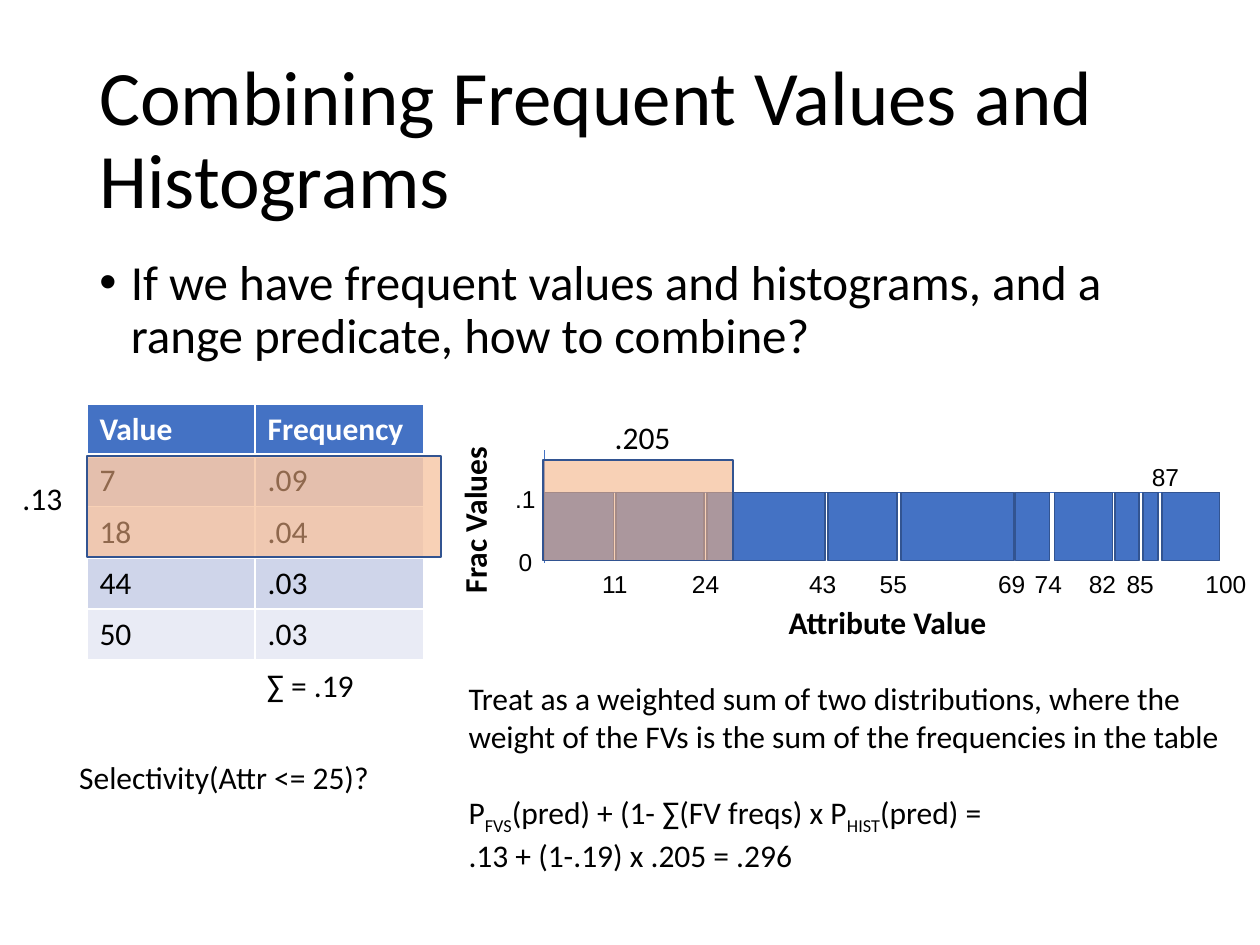
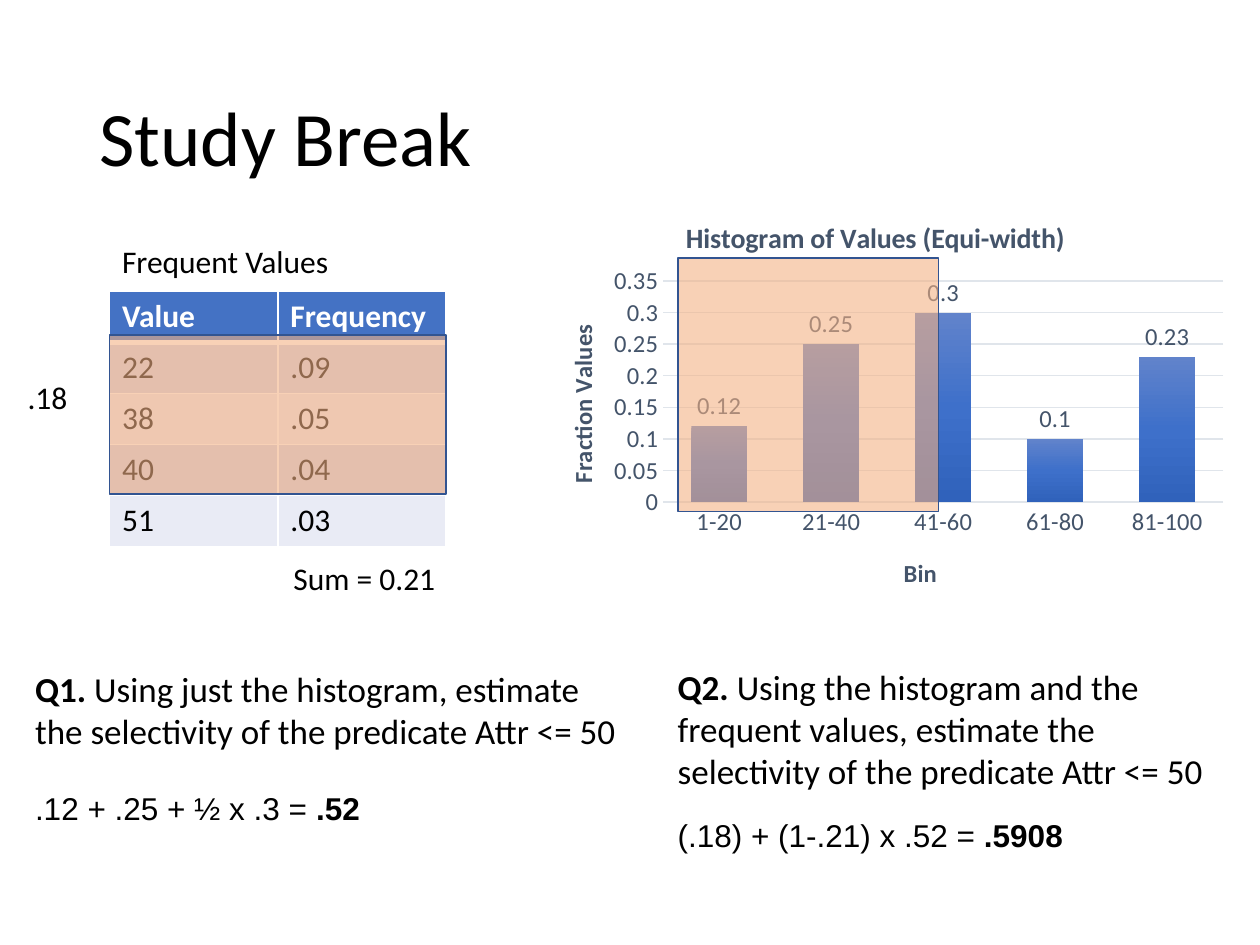
from copy import deepcopy

from lxml import etree
from pptx import Presentation
from pptx import util as u
from pptx.chart import data as chart_data
from pptx.dml.color import RGBColor
from pptx.enum import chart as ch
from pptx.enum import shapes, text
from pptx.oxml.ns import qn

BLACK = RGBColor(0, 0, 0)
WHITE = RGBColor(255, 255, 255)
BLUE = RGBColor(0x44, 0x72, 0xC4)
DARK_BLUE = RGBColor(0x32, 0x54, 0x91)
ORANGE = RGBColor(0xF4, 0xB1, 0x83)
SLATE = RGBColor(0x44, 0x54, 0x6A)
GRID_GREY = RGBColor(0xE0, 0xE5, 0xEB)
BANDS = RGBColor(0xCF, 0xD5, 0xEA), RGBColor(0xE9, 0xEB, 0xF5)
COLUMN_GRADIENT = [(0, RGBColor(0x61, 0x83, 0xCB)), (0.5, RGBColor(0x3E, 0x70, 0xCA)),
                   (1, RGBColor(0x30, 0x62, 0xBB))]
CALIBRI, ARIAL = "Calibri", "Arial"
BODY_SIZE, TICK_SIZE, QUESTION_SIZE = 18, 14, 20
BLANK_LINE = 22  # points

# Content. A paragraph is a string or a list of (words, style) runs.
HEADER = ("Value", "Frequency")
COMBINING = {
    "title": "Combining Frequent Values and Histograms",
    "bullet": "If we have frequent values and histograms, and a range predicate, how to combine?",
    "frequent": [("7", ".09"), ("18", ".04"), ("44", ".03"), ("50", ".03")],
    # upper bound, bar left, bar width, centre of the label
    "buckets": [("11", 4.32, 0.55, 4.88), ("24", 4.89, 0.70, 5.60), ("43", 5.61, 0.94, 6.53),
                ("55", 6.57, 0.55, 7.09), ("69", 7.15, 0.90, 8.03), ("74", 8.06, 0.27, 8.32),
                ("82", 8.37, 0.46, 8.75), ("85", 8.85, 0.19, 9.05), ("87", 9.07, 0.12, 9.25),
                ("100", 9.22, 0.46, 9.73)],
    "raised": "87",
    "formula": [
        "Treat as a weighted sum of two distributions, where the weight of the FVs "
        "is the sum of the frequencies in the table",
        [("P", ""), ("FVS", "sub"), ("(pred) + (1- ∑(FV freqs) x P", ""),
         ("HIST", "sub"), ("(pred) =", "")],
        ".13 + (1-.19) x .205 = .296"],
    # words, box
    "notes": [("∑ = .19", (2.02, 5.24, 1.51, 0.4)),
              ("Selectivity(Attr <= 25)?", (0.53, 5.97, 3.88, 0.4))],
    "shares": [(".13", (0.08, 3.75, 0.61, 0.4), (0.69, 3.62, 2.81, 0.8)),
               (".205", (4.78, 3.27, 1.05, 0.4), (4.31, 3.65, 1.51, 0.8))],
}
STUDY = {
    "title": "Study Break",
    "frequent": [("22", ".09"), ("38", ".05"), ("40", ".04"), ("51", ".03")],
    "histogram": {"1-20": 0.12, "21-40": 0.25, "41-60": 0.3, "61-80": 0.1, "81-100": 0.23},
    "notes": [("Frequent Values", (0.87, 1.87, 2.85, 0.4)),
              ("Sum = 0.21", (2.23, 4.39, 1.49, 0.4)),
              (".18", (0.12, 2.95, 1.49, 0.4))],
    "highlights": [(5.38, 2.05, 2.07, 2.01), (0.87, 2.66, 2.67, 1.26)],
    "questions": [
        ([("Q1. ", "bold"), ("Using just the histogram, estimate the selectivity of the "
                             "predicate Attr <= 50", "")], (0.18, 5.25, 4.85, 0.77)),
        ([("Q2. ", "bold"), ("Using the histogram and the frequent values, estimate the "
                             "selectivity of the predicate Attr <= 50", "")],
         (5.28, 5.23, 4.53, 1.11))],
    "answers": [([(".12 + .25 + ½ x .3 = ", ""), (".52", "bold")], (0.18, 6.21, 4.4, 0.4)),
                ([("(.18) + (1-.21) x .52 = ", ""), (".5908", "bold")], (5.28, 6.43, 4.4, 0.4))],
}


def inches(lengths):
    return [u.Inches(length) for length in lengths]


def style_font(font, size, color=BLACK, name=CALIBRI, bold=False):
    font.size, font.name, font.bold = u.Pt(size), name, bold
    font.color.rgb = color


def add_text(slide, box, paragraphs, size=BODY_SIZE, name=CALIBRI, bold=False, align=None):
    frame = slide.shapes.add_textbox(*inches(box)).text_frame
    frame.word_wrap = True
    for index, content in enumerate(paragraphs):
        paragraph = frame.add_paragraph() if index else frame.paragraphs[0]
        paragraph.alignment = align
        for words, style in [(content, "")] if isinstance(content, str) else content:
            run = paragraph.add_run()
            run.text = words
            style_font(run.font, size, name=name, bold=bold or style == "bold")
            if style == "sub":
                run.font._element.set("baseline", "-25000")
    return frame


def add_label(slide, center, top, words):
    width = 0.54
    frame = add_text(slide, (center - width / 2, top, width, 0.34), [words],
                     TICK_SIZE, ARIAL, align=text.PP_ALIGN.CENTER)
    frame.word_wrap = False


def add_title(slide, words):
    frame = add_text(slide, (0.69, 0.4, 8.62, 1.45), [words], 44)
    frame.vertical_anchor = text.MSO_ANCHOR.MIDDLE
    frame.paragraphs[0].line_spacing = 0.9


def add_bullet(slide, words):
    paragraph = add_text(slide, (0.69, 2, 8.62, 1.1), [words], 28).paragraphs[0]
    paragraph.line_spacing = 0.9
    properties = paragraph._p.get_or_add_pPr()
    properties.set("marL", str(u.Inches(0.25)))
    properties.set("indent", str(u.Inches(-0.25)))
    etree.SubElement(properties, qn("a:buFont")).set("typeface", ARIAL)
    etree.SubElement(properties, qn("a:buChar")).set("char", "•")


def add_rect(slide, box, color, alpha=None):
    rect = slide.shapes.add_shape(shapes.MSO_SHAPE.RECTANGLE, *inches(box))
    rect.shadow.inherit = False
    rect.fill.solid()
    rect.fill.fore_color.rgb = color
    rect.line.color.rgb = DARK_BLUE
    rect.line.width = u.Pt(1)
    if alpha:
        tint = rect._element.spPr.find(qn("a:solidFill"))[0]
        etree.SubElement(tint, qn("a:alpha")).set("val", str(alpha * 1000))


def add_highlight(slide, box):
    add_rect(slide, box, ORANGE, alpha=59)


def add_axis_line(slide, start, end):
    line = slide.shapes.add_connector(shapes.MSO_CONNECTOR.STRAIGHT, *inches(start + end))
    line.line.color.rgb = BLUE
    line.line.width = u.Pt(0.5)
    etree.SubElement(line._element.spPr, qn("a:effectLst"))


def add_cell_borders(cell, bottom):
    properties = cell._tc.get_or_add_tcPr()
    for index, (side, width) in enumerate([("L", 1), ("R", 1), ("T", 1), ("B", bottom)]):
        border = etree.Element(qn("a:ln" + side), w=str(u.Pt(width)))
        fill = etree.SubElement(border, qn("a:solidFill"))
        etree.SubElement(fill, qn("a:srgbClr")).set("val", str(WHITE))
        properties.insert(index, border)


def add_frequencies(slide, left, top, frequent):
    rows = [HEADER] + frequent
    table = slide.shapes.add_table(len(rows), len(HEADER),
                                   *inches((left, top, 2.67, 0.406 * len(rows)))).table
    for r, row in enumerate(rows):
        for c, words in enumerate(row):
            cell = table.cell(r, c)
            cell.text = words
            cell.fill.solid()
            cell.fill.fore_color.rgb = BANDS[(r - 1) % 2] if r else BLUE
            style_font(cell.text_frame.paragraphs[0].runs[0].font, BODY_SIZE,
                       BLACK if r else WHITE, bold=not r)
            add_cell_borders(cell, bottom=1 if r else 3)


def add_layout(parent, position, **values):
    """Fix a chart part at shares of the chart's size."""
    for old in parent.findall(qn("c:layout")):
        parent.remove(old)
    layout = etree.Element(qn("c:layout"))
    manual = etree.SubElement(layout, qn("c:manualLayout"))
    for key, value in values.items():
        etree.SubElement(manual, qn("c:" + key)).set("val", str(value))
    parent.insert(position, layout)


def set_chart_title(owner, words, size, x, y):
    owner.has_title = True
    title = owner.chart_title if hasattr(owner, "chart_title") else owner.axis_title
    title.text_frame.text = words
    style_font(title.text_frame.paragraphs[0].runs[0].font, size, SLATE, bold=True)
    add_layout(title._element, 1, xMode="edge", yMode="edge", x=x, y=y)


def add_histogram(slide, box, histogram):
    data = chart_data.CategoryChartData()
    data.categories = list(histogram)
    data.add_series("Series 1", list(histogram.values()))
    chart = slide.shapes.add_chart(ch.XL_CHART_TYPE.COLUMN_CLUSTERED, *inches(box), data).chart
    style_font(chart.font, TICK_SIZE)
    chart.has_legend = False
    set_chart_title(chart, "Histogram of Values (Equi-width)", 16, 0.21, 0.06)
    bins, fractions = chart.category_axis, chart.value_axis
    set_chart_title(bins, "Bin", TICK_SIZE, 0.52, 0.86)
    set_chart_title(fractions, "Fraction Values", TICK_SIZE, 0.04, 0.31)
    for axis in (bins, fractions):
        axis.major_tick_mark = axis.minor_tick_mark = ch.XL_TICK_MARK.NONE
        style_font(axis.tick_labels.font, TICK_SIZE, SLATE)
    fractions.minimum_scale, fractions.maximum_scale, fractions.major_unit = 0, 0.35, 0.05
    fractions.format.line.fill.background()
    for line in (bins.format.line, fractions.major_gridlines.format.line):
        line.color.rgb = GRID_GREY
        line.width = u.Pt(0.75)

    plot = chart.plots[0]
    plot.gap_width, plot.overlap, plot.vary_by_categories = 100, -24, False
    columns = plot.series[0]
    fill = columns.format.fill
    fill.gradient()
    fill.gradient_angle = 270
    stops = columns._element.find(".//" + qn("a:gsLst"))
    stops.insert(1, deepcopy(stops[0]))
    for stop, (position, color) in zip(fill.gradient_stops, COLUMN_GRADIENT):
        stop.position, stop.color.rgb = position, color
    labels = columns.data_labels
    labels.show_value = True
    labels.position = ch.XL_LABEL_POSITION.OUTSIDE_END
    style_font(labels.font, TICK_SIZE, SLATE)
    add_layout(chart._chartSpace.chart.plotArea, 0, layoutTarget="inner", xMode="edge",
               yMode="edge", x=0.185, y=0.218, w=0.795, h=0.524)


def add_buckets(slide, buckets, raised):
    top, height, left = 3.91, 0.54, 4.32
    add_axis_line(slide, (left, top), (9.68, top))
    add_axis_line(slide, (left, 4.47), (left, 3.57))
    add_text(slide, (6.16, 4.74, 2.55, 0.4), ["Attribute Value"], bold=True)
    for bound, bar_left, width, center in buckets:
        add_rect(slide, (bar_left, top, width, height), BLUE)
        add_label(slide, center, 3.62 if bound == raised else 4.47, bound)
    add_label(slide, 4.17, 3.79, ".1")
    add_label(slide, 4.17, 4.29, "0")
    frame = add_text(slide, (3.08, 3.92, 1.37, 0.4), ["Frac Values"], bold=True)
    frame._parent.rotation = 270


def build_combining(slide):
    add_title(slide, COMBINING["title"])
    add_bullet(slide, COMBINING["bullet"])
    add_frequencies(slide, 0.69, 3.21, COMBINING["frequent"])
    add_buckets(slide, COMBINING["buckets"], COMBINING["raised"])
    for words, box in COMBINING["notes"]:
        add_text(slide, box, [words])
    formula = add_text(slide, (3.62, 5.34, 6.38, 1.62), COMBINING["formula"])
    formula.paragraphs[1].space_before = u.Pt(BLANK_LINE)
    for words, label_box, covered in COMBINING["shares"]:
        add_highlight(slide, covered)
        add_text(slide, label_box, [words])


def build_study(slide):
    add_title(slide, STUDY["title"])
    add_histogram(slide, (4.23, 1.5, 5.59, 3.35), STUDY["histogram"])
    add_frequencies(slide, 0.87, 2.31, STUDY["frequent"])
    for covered in STUDY["highlights"]:
        add_highlight(slide, covered)
    for words, box in STUDY["notes"]:
        add_text(slide, box, [words])
    for question, box in STUDY["questions"]:
        add_text(slide, box, [question], QUESTION_SIZE)
    for answer, box in STUDY["answers"]:
        add_text(slide, box, [answer], name=ARIAL)


def main():
    deck = Presentation()
    deck.slide_width, deck.slide_height = inches((10, 7.5))
    for build in (build_combining, build_study):
        build(deck.slides.add_slide(deck.slide_layouts[6]))
    deck.save("out.pptx")


if __name__ == "__main__":
    main()
